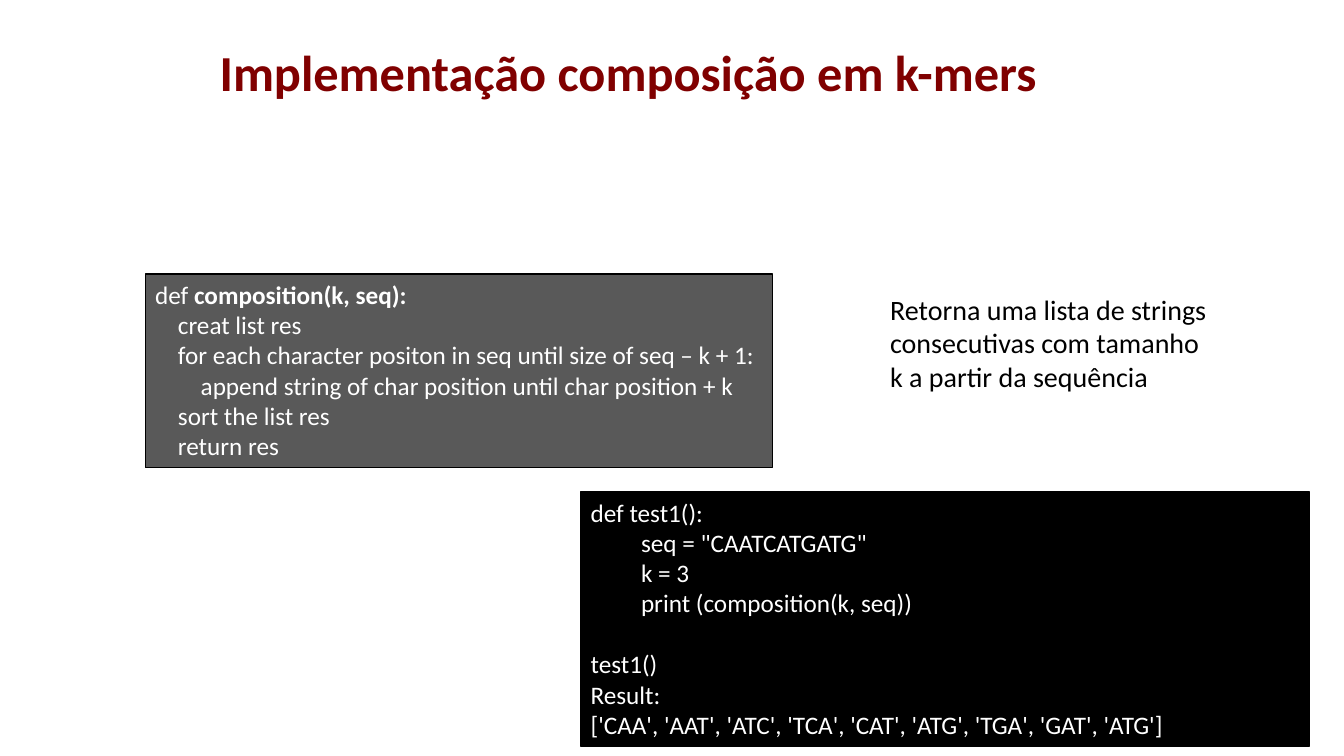
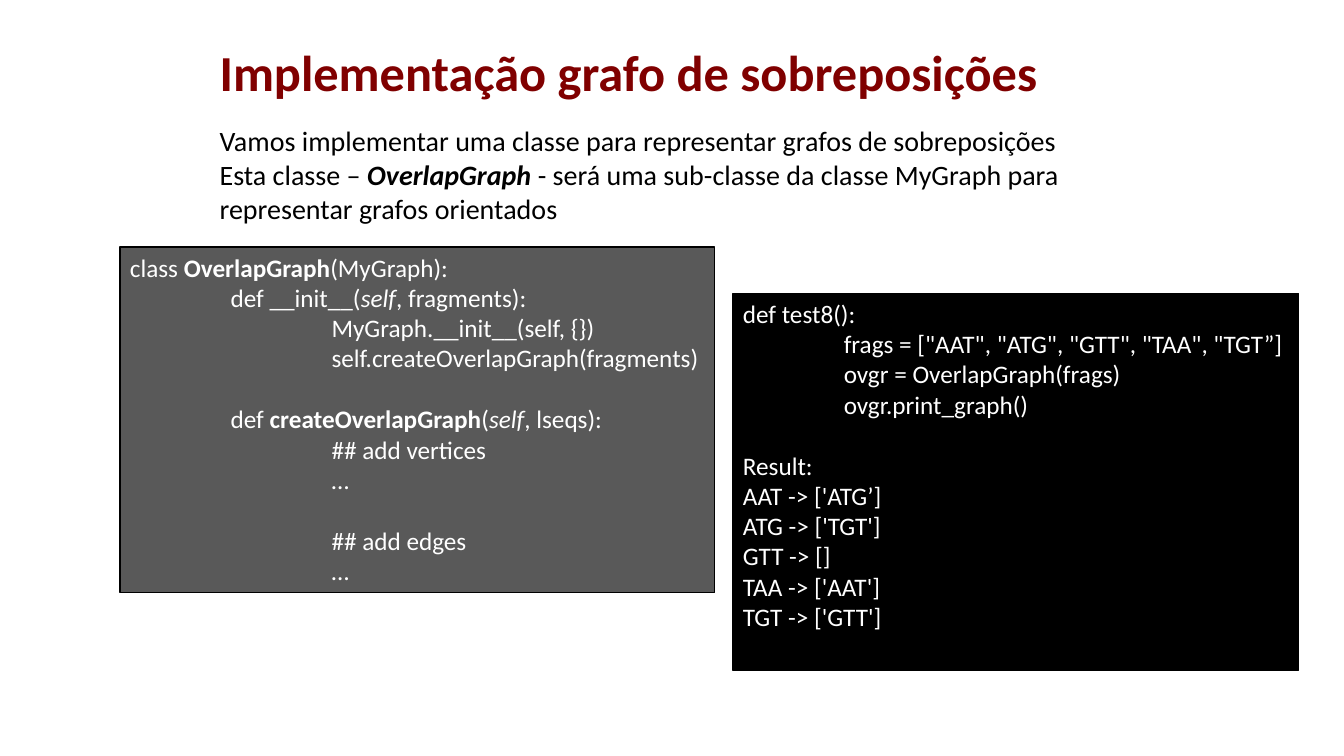
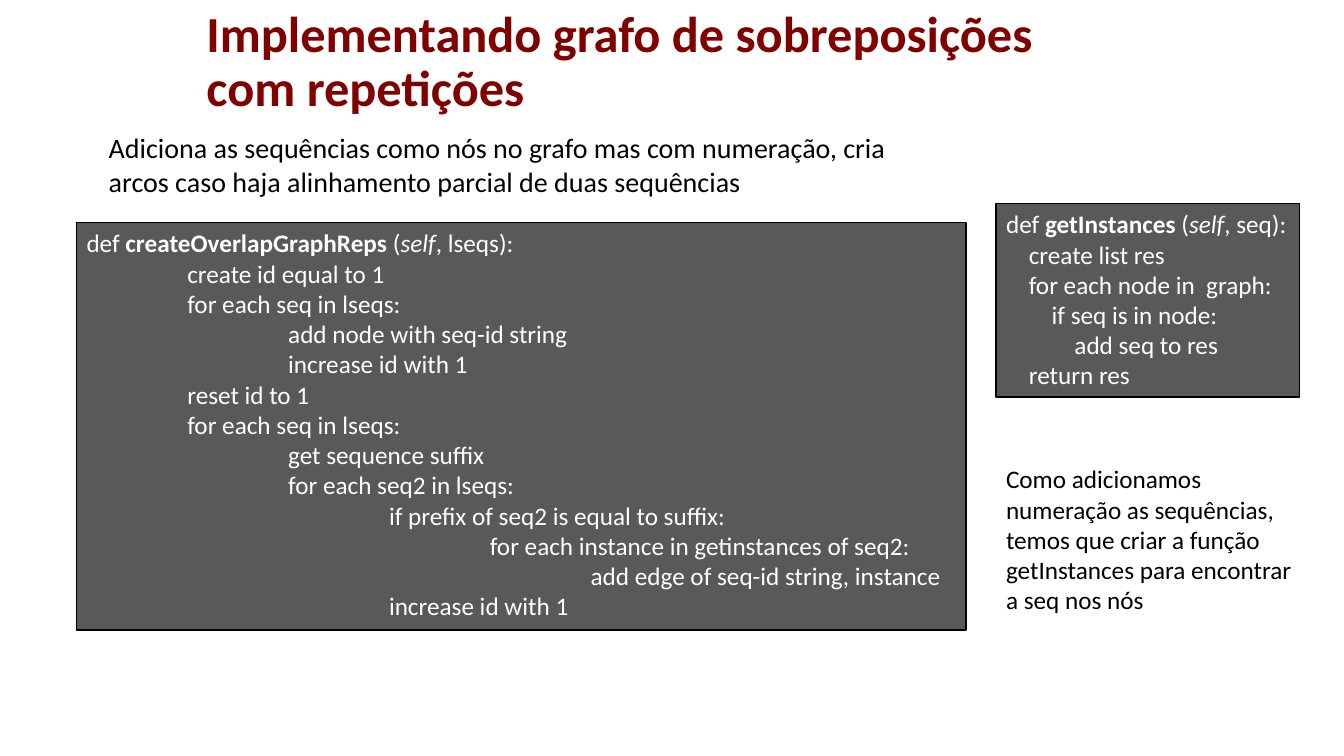
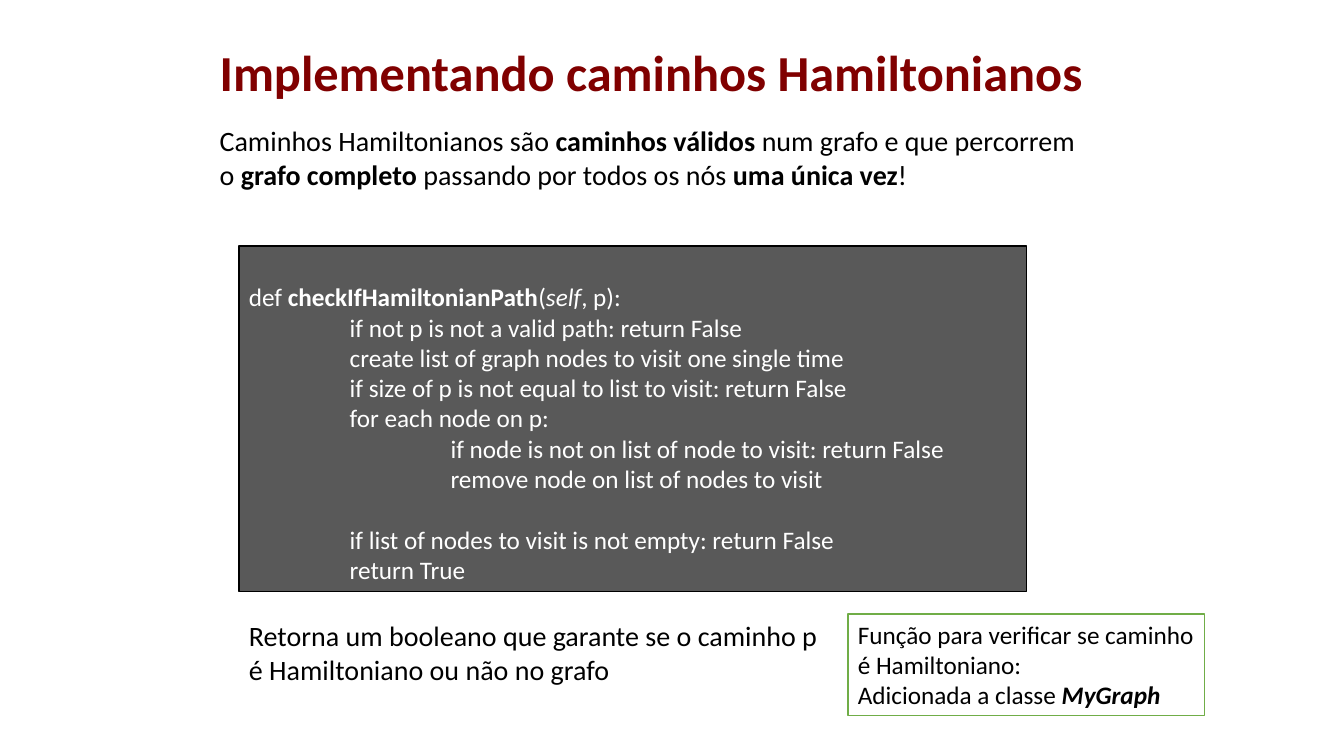
from pptx import Presentation
from pptx.dml.color import RGBColor
from pptx.enum import shapes, text
from pptx.util import Inches, Pt

FONT = "Calibri"
TITLE_COLOR = "800000"
BLACK = "000000"
WHITE = "FFFFFF"
GREY = "595959"
GREEN = "70AD47"
CODE_SIZE = 18
BODY_SIZE = 20
BLANK_LINE = 22  # height in points of one empty code line
TAB = 1
HALF_TAB = 0.5
FOUR_SPACES = 0.226


def color(value):
    return RGBColor.from_string(value)


def set_font(paragraph, size, font_color):
    paragraph.font.name = FONT
    paragraph.font.size = Pt(size)
    paragraph.font.color.rgb = color(font_color)


def add_runs(paragraph, line):
    """Write a line in which *...* is bold and ~...~ is italic."""
    for bold_index, part in enumerate(line.split("*")):
        for italic_index, words in enumerate(part.split("~")):
            if words:
                run = paragraph.add_run()
                run.text = words
                if bold_index % 2:
                    run.font.bold = True
                if italic_index % 2:
                    run.font.italic = True


def write_lines(frame, lines, size, font_color, indent=TAB):
    """Write one paragraph per line; four leading spaces are one indent level."""
    frame.word_wrap = True
    frame.vertical_anchor = text.MSO_ANCHOR.TOP
    paragraph = frame.paragraphs[0]
    gap = False
    for index, line in enumerate(lines):
        if not line:
            gap = True
            continue
        if index:
            paragraph = frame.add_paragraph()
        words = line.lstrip(" ")
        level = (len(line) - len(words)) // 4
        paragraph.alignment = text.PP_ALIGN.LEFT
        set_font(paragraph, size, font_color)
        if level:
            properties = paragraph._p.get_or_add_pPr()
            properties.set("marL", str(Inches(level * indent)))
            properties.set("indent", "0")
        if gap:
            paragraph.space_before = Pt(BLANK_LINE)
            gap = False
        add_runs(paragraph, words)


def add_title(slide, words, left=2.08, top=0.12):
    box = slide.shapes.add_textbox(Inches(left), Inches(top), Inches(9), Inches(1.25))
    frame = box.text_frame
    frame.word_wrap = True
    frame.vertical_anchor = text.MSO_ANCHOR.MIDDLE
    paragraph = frame.paragraphs[0]
    paragraph.text = words
    paragraph.line_spacing = 0.9
    set_font(paragraph, 36, TITLE_COLOR)
    paragraph.font.bold = True


def add_note(slide, place, lines, size=BODY_SIZE):
    box = slide.shapes.add_textbox(*map(Inches, place))
    write_lines(box.text_frame, lines, size, BLACK)


def add_panel(slide, place, lines, fill=GREY, line_color=BLACK,
              font_color=WHITE, indent=TAB):
    panel = slide.shapes.add_shape(shapes.MSO_SHAPE.RECTANGLE, *map(Inches, place))
    panel.shadow.inherit = False
    panel.fill.solid()
    panel.fill.fore_color.rgb = color(fill)
    panel.line.color.rgb = color(line_color)
    panel.line.width = Pt(1)
    write_lines(panel.text_frame, lines, CODE_SIZE, font_color, indent)
    return panel


def build_composition(slide):
    add_title(slide, "Implementação composição em k-mers")
    add_panel(slide, (1.44, 2.72, 6.22, 1.92), [
        "def *composition(k, seq):*",
        "    creat list res",
        "    for each character positon in seq until size of seq – k + 1:",
        "        append string of char position until char position + k",
        "    sort the list res",
        "    return res",
    ], indent=FOUR_SPACES)
    add_panel(slide, (5.76, 4.88, 7.23, 2.52), [
        "def test1():",
        '    seq = "CAATCATGATG"',
        "    k = 3",
        "    print (composition(k, seq))",
        "",
        "test1()",
        "Result:",
        "['CAA', 'AAT', 'ATC', 'TCA', 'CAT', 'ATG', 'TGA', 'GAT', 'ATG']",
    ], fill=BLACK, indent=HALF_TAB)
    add_note(slide, (8.73, 2.85, 3.43, 1.11), [
        "Retorna uma lista de strings consecutivas com tamanho k a partir da sequência",
    ])


def build_overlap_graph(slide):
    add_title(slide, "Implementação grafo de sobreposições")
    add_panel(slide, (1.19, 2.45, 5.9, 3.43), [
        "class *OverlapGraph*(MyGraph):",
        "    def __init__(~self~, fragments):",
        "        MyGraph.__init__(self, {})",
        "        self.createOverlapGraph(fragments)",
        "",
        "    def *createOverlapGraph*(~self~, lseqs):",
        "        ## add vertices",
        "        …",
        "",
        "        ## add edges",
        "        …",
    ])
    add_note(slide, (2.08, 1.18, 8.73, 1.11), [
        "Vamos implementar uma classe para representar grafos de sobreposições",
        "Esta classe – *~OverlapGraph ~*- será uma sub-classe da classe MyGraph "
        "para representar grafos orientados",
    ])
    add_panel(slide, (7.27, 2.91, 5.61, 3.74), [
        "def test8():",
        '    frags = ["AAT", "ATG", "GTT", "TAA", "TGT”]',
        "    ovgr = OverlapGraph(frags)",
        "    ovgr.print_graph()",
        "",
        "Result:",
        "AAT -> ['ATG’]",
        "ATG -> ['TGT']",
        "GTT -> []",
        "TAA -> ['AAT']",
        "TGT -> ['GTT']",
    ], fill=BLACK)


def build_repeats(slide):
    add_title(slide, "Implementando grafo de sobreposições\ncom repetições", 1.95, 0)
    add_panel(slide, (0.76, 2.21, 8.82, 4.04), [
        "def *createOverlapGraphReps *(~self~, lseqs):",
        "    create id equal to 1",
        "    for each seq in lseqs:",
        "        add node with seq-id string",
        "        increase id with 1",
        "    reset id to 1",
        "    for each seq in lseqs:",
        "        get sequence suffix",
        "        for each seq2 in lseqs:",
        "            if prefix of seq2 is equal to suffix:",
        "                for each instance in getinstances of seq2:",
        "                    add edge of seq-id string, instance",
        "            increase id with 1",
    ])
    add_panel(slide, (9.88, 2.02, 3.01, 1.92), [
        "def *getInstances *(~self~, seq):",
        "    create list res",
        "    for each node in  graph:",
        "        if seq is in node:",
        "            add seq to res",
        "    return res",
    ], indent=FOUR_SPACES)
    add_note(slide, (0.98, 1.25, 8.38, 0.77), [
        "Adiciona as sequências como nós no grafo mas com numeração, cria arcos "
        "caso haja alinhamento parcial de duas sequências",
    ])
    add_note(slide, (9.88, 4.55, 3.1, 1.92), [
        "Como adicionamos numeração as sequências, temos que criar a função "
        "getInstances para encontrar a seq nos nós",
    ], CODE_SIZE)


def build_hamiltonian(slide):
    add_title(slide, "Implementando caminhos Hamiltonianos")
    check_panel = add_panel(slide, (2.37, 2.44, 7.81, 3.43), [
        "def *checkIfHamiltonianPath*(~self~, p):",
        "    if not p is not a valid path: return False",
        "    create list of graph nodes to visit one single time",
        "    if size of p is not equal to list to visit: return False",
        "    for each node on p:",
        "        if node is not on list of node to visit: return False",
        "        remove node on list of nodes to visit",
        "",
        "    if list of nodes to visit is not empty: return False",
        "    return True",
    ])
    check_panel.text_frame.margin_top = Inches(0.05) + Pt(BLANK_LINE)
    add_panel(slide, (8.41, 6.09, 3.54, 1.01), [
        "Função para verificar se caminho é Hamiltoniano:",
        "Adicionada a classe *~MyGraph~*",
    ], fill=WHITE, line_color=GREEN, font_color=BLACK)
    add_note(slide, (2.08, 1.18, 8.73, 0.77), [
        "Caminhos Hamiltonianos são *caminhos válidos *num grafo e que percorrem o "
        "*grafo completo* passando por todos os nós *uma única vez*!",
    ])
    add_note(slide, (2.37, 6.09, 5.92, 0.77), [
        "Retorna um booleano que garante se o caminho p é Hamiltoniano ou não no grafo",
    ])


def main():
    presentation = Presentation()
    presentation.slide_width = Inches(13.33)
    presentation.slide_height = Inches(7.5)
    blank_layout = presentation.slide_layouts[6]
    for build in (build_composition, build_overlap_graph, build_repeats,
                  build_hamiltonian):
        build(presentation.slides.add_slide(blank_layout))
    presentation.save("out.pptx")


if __name__ == "__main__":
    main()
